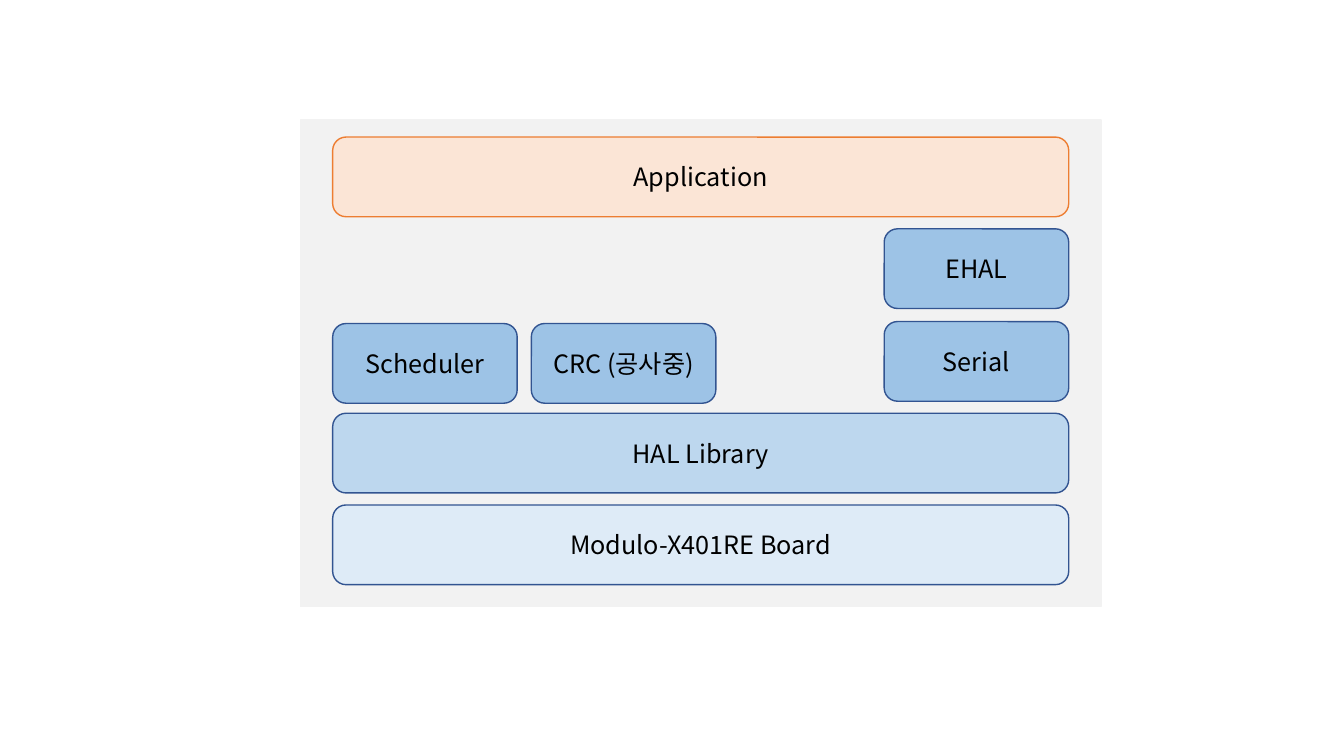
"""Build a slide showing the software layers on a development board."""
from lxml import etree
from pptx import Presentation
from pptx.dml.color import RGBColor
from pptx.enum import shapes, text
from pptx.oxml import ns
from pptx.util import Inches, Pt

FONT = "Noto Sans CJK KR"
BLACK = RGBColor(0x00, 0x00, 0x00)
PANEL_GREY = RGBColor(0xF2, 0xF2, 0xF2)
NAVY = RGBColor(0x32, 0x54, 0x91)
ORANGE = RGBColor(0xED, 0x7D, 0x31)
PEACH = RGBColor(0xFB, 0xE5, 0xD6)
MODULE_BLUE = RGBColor(0x9D, 0xC3, 0xE6)
LIBRARY_BLUE = RGBColor(0xBD, 0xD7, 0xEE)
BOARD_BLUE = RGBColor(0xDE, 0xEB, 0xF7)

LEFT, FULL_WIDTH, MODULE_WIDTH, HEIGHT = 3.3, 7.3, 1.83, 0.79
RIGHT_MODULE = LEFT + FULL_WIDTH - MODULE_WIDTH
SECOND_MODULE = LEFT + MODULE_WIDTH + 0.14

deck = Presentation()
deck.slide_width, deck.slide_height = Inches(13.33), Inches(7.5)
page = deck.slides.add_slide(deck.slide_layouts[6])
diagram = page.shapes.add_group_shape()


def add_block(label, *, left, top, width, height=HEIGHT, fill, line=NAVY,
              kind=shapes.MSO_SHAPE.ROUNDED_RECTANGLE):
    box = diagram.shapes.add_shape(
        kind, Inches(left), Inches(top), Inches(width), Inches(height))
    box.shadow.inherit = False
    box.fill.solid()
    box.fill.fore_color.rgb = fill
    box.line.color.rgb = line
    box.line.width = Pt(1)
    if label:
        box.text_frame.word_wrap = True
        box.text_frame.vertical_anchor = text.MSO_ANCHOR.MIDDLE
        para = box.text_frame.paragraphs[0]
        para.alignment = text.PP_ALIGN.CENTER
        span = para.add_run()
        span.text = label
        span.font.size = Pt(18)
        span.font.name = FONT
        span.font.color.rgb = BLACK
        etree.SubElement(span.font._element, ns.qn("a:ea"), typeface=FONT)


add_block("", left=2.98, top=1.19, width=7.94, height=4.83, fill=PANEL_GREY,
          line=PANEL_GREY, kind=shapes.MSO_SHAPE.RECTANGLE)

for label, top, fill, line in (
    ("Modulo-X401RE Board", 5.01, BOARD_BLUE, NAVY),
    ("HAL Library", 4.1, LIBRARY_BLUE, NAVY),
    ("Application", 1.36, PEACH, ORANGE),
):
    add_block(label, left=LEFT, top=top, width=FULL_WIDTH, fill=fill, line=line)

for label, left, top in (
    ("Scheduler", LEFT, 3.21),
    ("EHAL", RIGHT_MODULE, 2.27),
    ("Serial", RIGHT_MODULE, 3.19),
    ("CRC (공사중)", SECOND_MODULE, 3.21),
):
    add_block(label, left=left, top=top, width=MODULE_WIDTH, fill=MODULE_BLUE)

deck.save("out.pptx")
